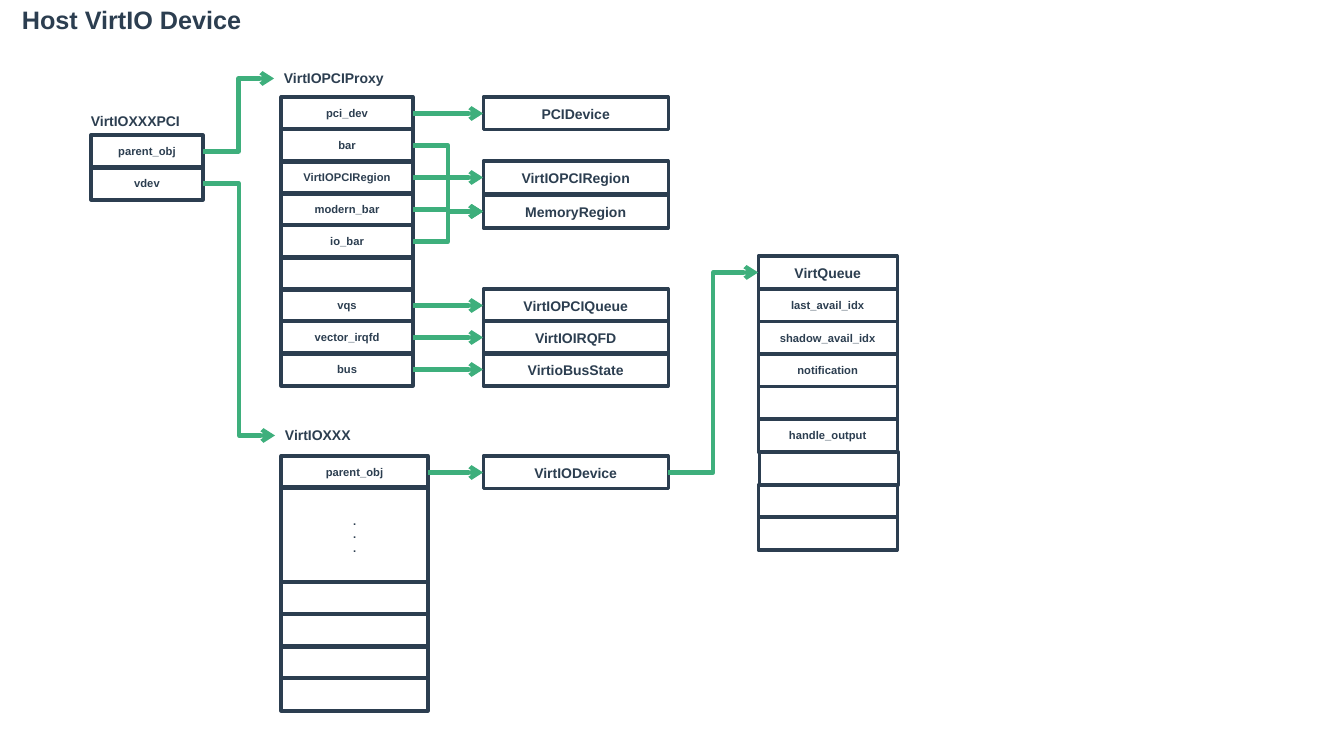
from lxml import etree
from pptx import Presentation
from pptx.dml.color import RGBColor
from pptx.enum.shapes import MSO_CONNECTOR, MSO_SHAPE
from pptx.enum.text import PP_ALIGN
from pptx.oxml.ns import qn
from pptx.util import Emu, Inches, Pt

RECT = MSO_SHAPE.RECTANGLE
STRAIGHT, ELBOW = MSO_CONNECTOR.STRAIGHT, MSO_CONNECTOR.ELBOW
CENTER = PP_ALIGN.CENTER
NAVY = RGBColor(0x2C, 0x3E, 0x50)
GREEN = RGBColor(0x3E, 0xAF, 0x7C)
PIXEL = 914400 / 100.8
ROW_HEIGHT = 33
LEFT_SITE, RIGHT_SITE = 1, 3

# Content: text, left, top, width, height, size, wrap
LABELS = {
    "title": ("Host VirtIO Device", 12, -1, 299, 40, 18, False),
    "pci": ("VirtIOXXXPCI", 81, 108, 162, 27, 10, True),
    "proxy": ("VirtIOPCIProxy", 274, 65, 280, 27, 10, True),
    "device": ("VirtIOXXX", 275, 422, 367, 27, 10, True),
}

# Struct fields: left, width, first top, last top, size, rows evenly spread between
STACKS = {
    "pci": (91, 112, 135, 167, 8, ["parent_obj", "vdev"]),
    "proxy": (281, 132, 97, 353, 8, [
        "pci_dev", "bar", "VirtIOPCIRegion", "modern_bar", "io_bar", "",
        "vqs", "vector_irqfd", "bus"]),
    "device": (281, 147, 456, 456, 8, ["parent_obj"]),
    "device rest": (281, 147, 582, 678, 8, ["", "", "", ""]),
    "pci type": (483, 185, 97, 97, 10, ["PCIDevice"]),
    "region types": (483, 185, 161, 195, 10, ["VirtIOPCIRegion", "MemoryRegion"]),
    "queue types": (483, 185, 289, 353, 10, [
        "VirtIOPCIQueue", "VirtIOIRQFD", "VirtioBusState"]),
    "device type": (483, 185, 456, 456, 10, ["VirtIODevice"]),
    "queue head": (758, 139, 256, 256, 10, ["VirtQueue"]),
    "queue": (758, 139, 289, 419, 8, [
        "last_avail_idx", "shadow_avail_idx", "notification", "", "handle_output"]),
    "queue gap": (759, 139, 452, 452, 8, [""]),
    "queue rest": (758, 139, 485, 517, 8, ["", ""]),
}
MORE_FIELDS = (".\n.\n.", 281, 487, 147, 95, 8)

# Arrows: (stack, row) to (stack, row), or to a label
LINKS = [
    (("pci", 0), "proxy"),
    (("pci", 1), "device"),
    (("proxy", 0), ("pci type", 0)),
    (("proxy", 1), ("region types", 1)),
    (("proxy", 2), ("region types", 0)),
    (("proxy", 3), ("region types", 1)),
    (("proxy", 4), ("region types", 1)),
    (("proxy", 6), ("queue types", 0)),
    (("proxy", 7), ("queue types", 1)),
    (("proxy", 8), ("queue types", 2)),
    (("device", 0), ("device type", 0)),
    (("device type", 0), ("queue head", 0)),
]


def px(value):
    return Emu(round(value * PIXEL))


def write(shape, text, size, align=None):
    shape.text_frame.text = text
    for paragraph in shape.text_frame.paragraphs:
        paragraph.alignment = align
        font = paragraph.font
        font.name, font.size, font.bold = "Arial", Pt(size), True
        font.color.rgb = NAVY


def add_box(text, left, top, width, height, size):
    box = slide.shapes.add_shape(RECT, px(left), px(top), px(width), px(height))
    box.shadow.inherit = False
    box.fill.background()
    box.line.color.rgb = NAVY
    box.line.width = Pt(2.25)
    write(box, text, size, CENTER)
    return box


def add_label(text, left, top, width, height, size, wrap):
    label = slide.shapes.add_textbox(px(left), px(top), px(width), px(height))
    label.text_frame.word_wrap = wrap
    write(label, text, size)
    return label


def add_arrow(source, target):
    level = source.top + source.height // 2 == target.top + target.height // 2
    arrow = slide.shapes.add_connector(STRAIGHT if level else ELBOW, 0, 0, 0, 0)
    arrow.begin_connect(source, RIGHT_SITE)
    arrow.end_connect(target, LEFT_SITE)
    arrow.line.color.rgb = GREEN
    arrow.line.width = Pt(3)
    etree.SubElement(arrow.line._get_or_add_ln(), qn("a:tailEnd"), type="arrow")
    etree.SubElement(arrow._element.spPr, qn("a:effectLst"))


presentation = Presentation()
presentation.slide_width, presentation.slide_height = Inches(13.33), Inches(7.5)
slide = presentation.slides.add_slide(presentation.slide_layouts[6])

# Title and struct names
nodes = {key: add_label(*label) for key, label in LABELS.items()}

# Struct fields and their types
for key, (left, width, first, last, size, rows) in STACKS.items():
    pitch = (last - first) / max(len(rows) - 1, 1)
    for row, text in enumerate(rows):
        nodes[key, row] = add_box(
            text, left, first + row * pitch, width, ROW_HEIGHT, size)
add_box(*MORE_FIELDS)

# Arrows
for source, target in LINKS:
    add_arrow(nodes[source], nodes[target])

presentation.save("out.pptx")
